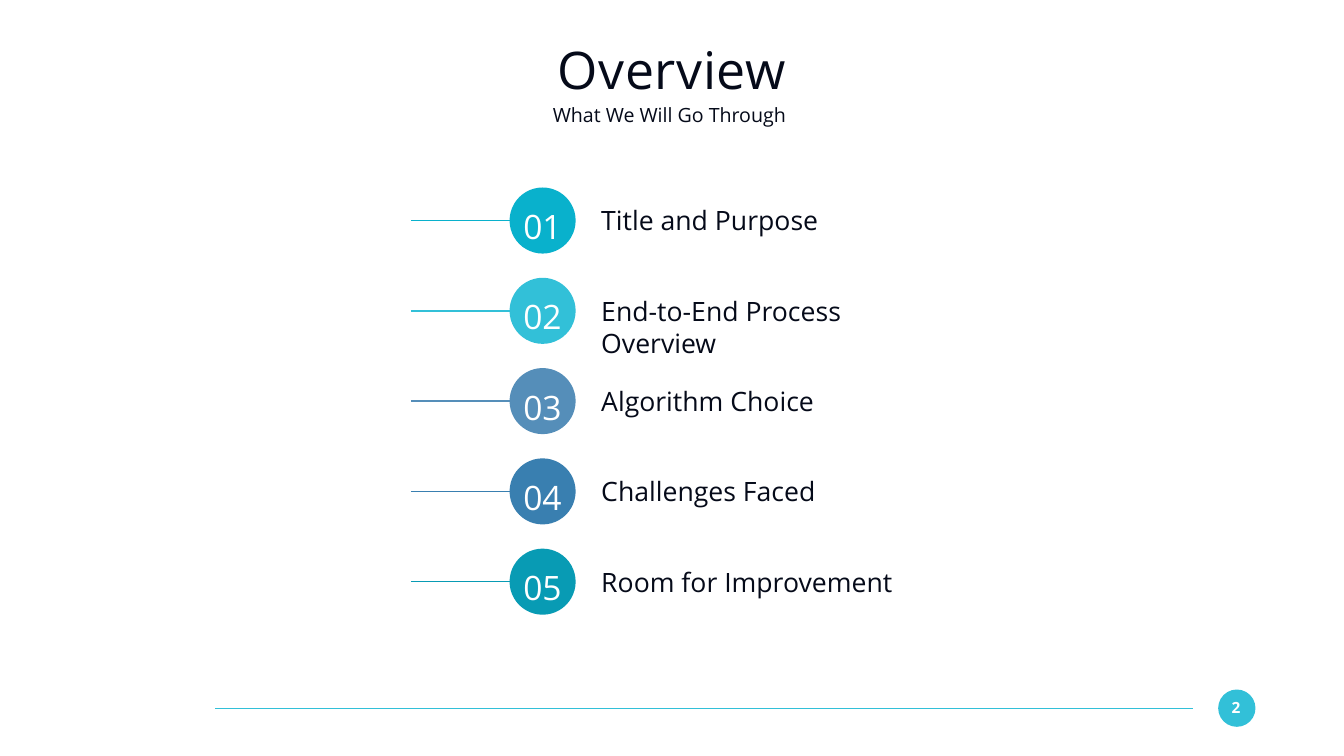
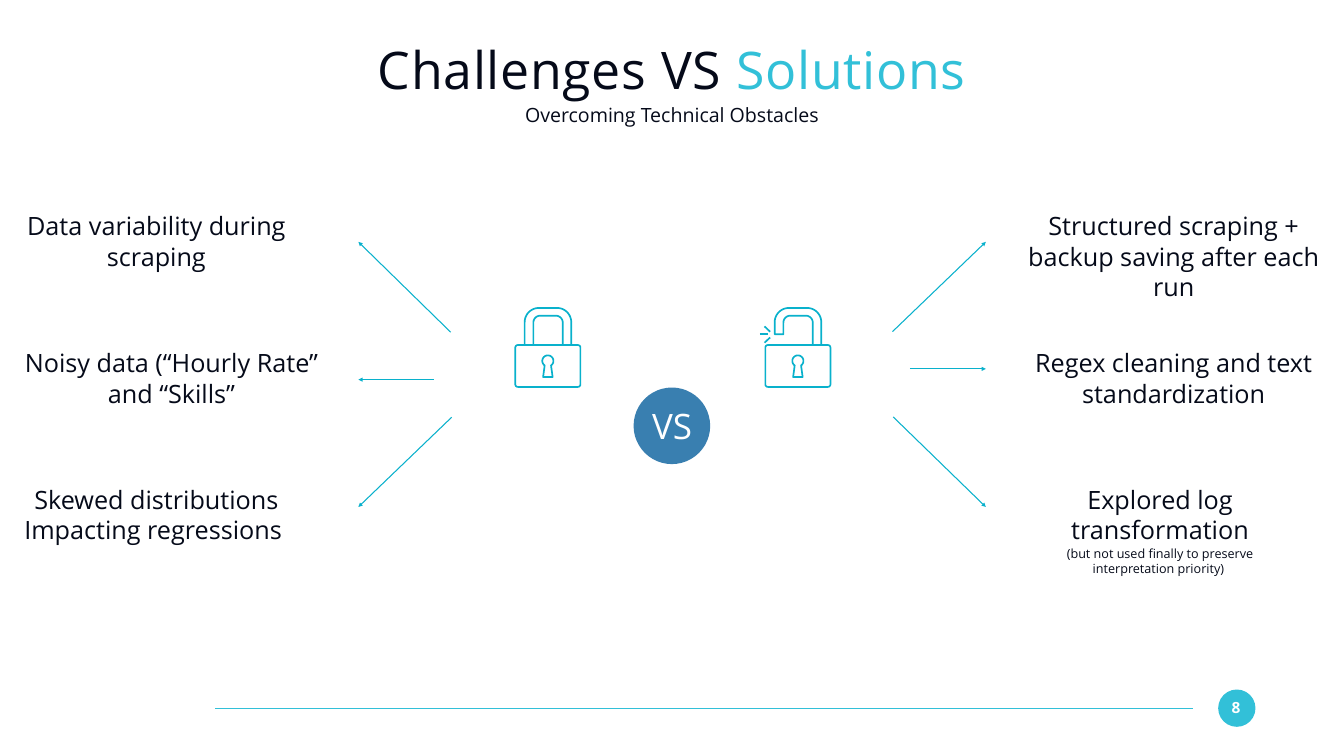
import math
from dataclasses import dataclass

import pptx
import pptx.dml.color
import pptx.enum.shapes
import pptx.enum.text
import pptx.oxml
import pptx.oxml.ns
import pptx.util

Cm = pptx.util.Cm
Pt = pptx.util.Pt
ALIGN = pptx.enum.text.PP_ALIGN


@dataclass(frozen=True)
class Theme:
    font: str = "Open Sans"
    ink: str = "050A19"
    white: str = "FFFFFF"
    aqua: str = "32C0D8"
    cyan: str = "09B1CC"
    steel: str = "558EB9"
    blue: str = "397FB0"
    teal: str = "089BB4"
    title_size: int = 74
    versus_size: int = 50
    number_size: int = 48
    item_size: int = 38
    point_size: int = 36
    subtitle_size: int = 28
    page_size: int = 22
    note_size: int = 18
    leading: float = 1.2


def color(value):
    return pptx.dml.color.RGBColor.from_string(value)


# Outlines, as points in centimetres
def arc(x, y, radius, start, end, steps=12):
    angles = [math.radians(start + (end - start) * i / steps) for i in range(steps + 1)]
    return [(x + radius * math.cos(a), y + radius * math.sin(a)) for a in angles]


def arch(left, right, top, radius, left_foot, right_foot):
    return [(left, left_foot),
            *arc(left + radius, top + radius, radius, 180, 270),
            *arc(right - radius, top + radius, radius, 270, 360),
            (right, right_foot)]


def padlock_contours(is_open):
    """Return (points, closed) pairs for a padlock."""
    left, top, right, bottom, radius = 0.04, 1.92, 3.32, 4.03, 0.13
    body = (arc(left + radius, top + radius, radius, 180, 270)
            + arc(right - radius, top + radius, radius, 270, 360)
            + arc(right - radius, bottom - radius, radius, 0, 90)
            + arc(left + radius, bottom - radius, radius, 90, 180))
    keyhole = arc(1.68, 2.72, 0.28, 125, 415, 24) + [(1.92, 3.53), (1.44, 3.53)]
    left_foot = 1.38 if is_open else top
    outer = arch(0.51, 2.86, 0.05, 0.72, left_foot, top)
    inner = arch(0.95, 2.43, 0.44, 0.35, left_foot, top)
    contours = [(body, True), (keyhole, True)]
    if not is_open:
        return contours + [(outer, False), (inner, False)]
    sparks = [[(-0.23, 1.38), (0.18, 1.38)],
              [(0, 0.98), (0.28, 1.25)],
              [(0, 1.8), (0.28, 1.54)]]
    return contours + [(inner[::-1] + outer, False)] + [(s, False) for s in sparks]


class Deck:
    def __init__(self, theme):
        self.theme = theme
        self.presentation = pptx.Presentation()
        self.presentation.slide_width = Cm(67.73)
        self.presentation.slide_height = Cm(38.1)
        self.slide = None

    def new_slide(self, title_runs, subtitle, page):
        theme = self.theme
        self.slide = self.presentation.slides.add_slide(self.presentation.slide_layouts[5])
        # Footer
        self.circle(61.39, 34.75, 1.88, theme.aqua)
        self.text(str(page), 61.54, 35.18, 1.5, 0.94, theme.page_size,
                  theme.white, bold=True)
        self.line((60.12, 35.69), (10.85, 35.69), theme.aqua)
        # Heading
        title = self.slide.shapes.title
        title.left, title.top = Cm(4.65), Cm(1.85)
        title.width, title.height = Cm(58.42), Cm(3.23)
        paragraph = self.prepare(title.text_frame)
        for words, ink in title_runs:
            run = self.add_run(paragraph, words, theme.title_size, ink)
            run.font._element.set("spc", "100")
        self.text(subtitle, 4.65, 5.16, 58.42, 1.24, theme.subtitle_size)

    def prepare(self, frame, align=ALIGN.CENTER):
        frame.word_wrap = True
        frame.auto_size = pptx.enum.text.MSO_AUTO_SIZE.NONE
        frame.vertical_anchor = pptx.enum.text.MSO_ANCHOR.MIDDLE
        frame.margin_left = frame.margin_right = 0
        frame.margin_top = frame.margin_bottom = 0
        paragraph = frame.paragraphs[0]
        paragraph.alignment = align
        return paragraph

    def add_run(self, paragraph, words, size, ink, bold=False):
        run = paragraph.add_run()
        run.text = words
        run.font.name = self.theme.font
        run.font.size = Pt(size)
        run.font.bold = bold
        run.font.color.rgb = color(ink)
        return run

    def text(self, words, left, top, width, height, size, ink=None,
             bold=False, align=ALIGN.CENTER, spacing=None):
        box = self.slide.shapes.add_textbox(Cm(left), Cm(top), Cm(width), Cm(height))
        paragraph = self.prepare(box.text_frame, align)
        paragraph.line_spacing = spacing
        self.add_run(paragraph, words, size, ink or self.theme.ink, bold)

    def wrapped_text(self, words, left, top, width, lines, size, align=ALIGN.CENTER):
        leading = Pt(size * self.theme.leading)
        self.text(words, left, top, width, lines * leading.cm, size,
                  align=align, spacing=leading if lines > 1 else None)

    def circle(self, left, top, size, fill):
        shape = self.slide.shapes.add_shape(
            pptx.enum.shapes.MSO_SHAPE.OVAL, Cm(left), Cm(top), Cm(size), Cm(size))
        shape.shadow.inherit = False
        shape.fill.solid()
        shape.fill.fore_color.rgb = color(fill)
        shape.line.fill.background()

    def line(self, start, end, ink, width=1.5, arrow=False):
        connector = self.slide.shapes.add_connector(
            pptx.enum.shapes.MSO_CONNECTOR.STRAIGHT, *map(Cm, start + end))
        connector.line.color.rgb = color(ink)
        connector.line.width = Pt(width)
        properties = connector._element.spPr
        if arrow:
            head = pptx.oxml.parse_xml(
                f'<a:tailEnd {pptx.oxml.ns.nsdecls("a")} type="triangle"/>')
            properties.find(pptx.oxml.ns.qn("a:ln")).append(head)
        properties.append(
            pptx.oxml.parse_xml(f'<a:effectLst {pptx.oxml.ns.nsdecls("a")}/>'))

    def padlock(self, left, top, is_open):
        builder = None
        for contour, closed in padlock_contours(is_open):
            points = [(Cm(left + x), Cm(top + y)) for x, y in contour]
            if builder is None:
                builder = self.slide.shapes.build_freeform(*points[0])
            else:
                builder.move_to(*points[0])
            builder.add_line_segments(points[1:], close=closed)
        shape = builder.convert_to_shape()
        shape.shadow.inherit = False
        shape.fill.background()
        shape.line.color.rgb = color(self.theme.cyan)
        shape.line.width = Pt(2.4)


def overview(deck):
    theme = deck.theme
    deck.new_slide([("Overview", theme.ink)], "What We Will Go Through ", 2)
    items = [
        ("Title and Purpose", theme.cyan, 1),
        ("End-to-End Process Overview", theme.aqua, 2),
        ("Algorithm Choice", theme.steel, 1),
        ("Challenges Faced", theme.blue, 1),
        ("Room for Improvement", theme.teal, 1),
    ]
    for index, (words, fill, lines) in enumerate(items):
        top = 9.45 + 4.55 * index
        middle = top + 1.66
        deck.line((20.7, middle), (25.68, middle), fill, width=2.25)
        deck.circle(25.68, top, 3.33, fill)
        deck.text(f"{index + 1:02}", 26.03, top + 0.51, 2.62, 2.46,
                  theme.number_size, theme.white, spacing=1.2)
        deck.wrapped_text(words, 30.3, top + 0.85, 16.5, lines,
                          theme.item_size, ALIGN.LEFT)


def challenges(deck):
    theme = deck.theme
    deck.new_slide([("Challenges VS ", theme.ink), ("Solutions", theme.aqua)],
                   "Overcoming Technical Obstacles", 8)

    # Padlocks and the badge between them
    deck.padlock(25.93, 15.47, is_open=False)
    deck.padlock(38.53, 15.47, is_open=True)
    deck.circle(31.93, 19.53, 3.86, theme.blue)
    deck.text("VS", 32.41, 20.32, 2.92, 2.21, theme.versus_size, theme.white)

    # Challenges on the left, solutions on the right: words, left, width, lines
    rows = [
        (("Data variability during scraping", -0.61, 16.99, 2),
         ("Structured scraping + backup saving after each run", 51.49, 15.32, 3)),
        (("Noisy data (“Hourly Rate” and “Skills”", 0.91, 15.47, 2),
         ("Regex cleaning and text standardization", 51.49, 15.32, 2)),
        (("Skewed distributions Impacting regressions ", -0.61, 16.99, 2),
         ("Explored log transformation", 51.49, 13.94, 2)),
    ]
    for index, row in enumerate(rows):
        for words, left, width, lines in row:
            deck.wrapped_text(words, left, 10.62 + 6.9 * index, width, lines,
                              theme.point_size)
    deck.wrapped_text("(but not used finally to preserve interpretation priority) ",
                      52.7, 27.51, 11.53, 2, theme.note_size)

    # Arrows from the padlocks to the points
    left_tip, right_tip = 18.06, 49.68
    arrows = [
        ((22.71, 16.74), (left_tip, 12.19)),
        ((21.87, 19.13), (left_tip, 19.13)),
        ((22.76, 21.03), (left_tip, 25.55)),
        ((44.98, 16.71), (right_tip, 12.19)),
        ((45.85, 18.59), (right_tip, 18.59)),
        ((45.01, 21.01), (right_tip, 25.55)),
    ]
    for start, end in arrows:
        deck.line(start, end, theme.cyan, arrow=True)


def main():
    deck = Deck(Theme())
    overview(deck)
    challenges(deck)
    deck.presentation.save("out.pptx")


if __name__ == "__main__":
    main()
